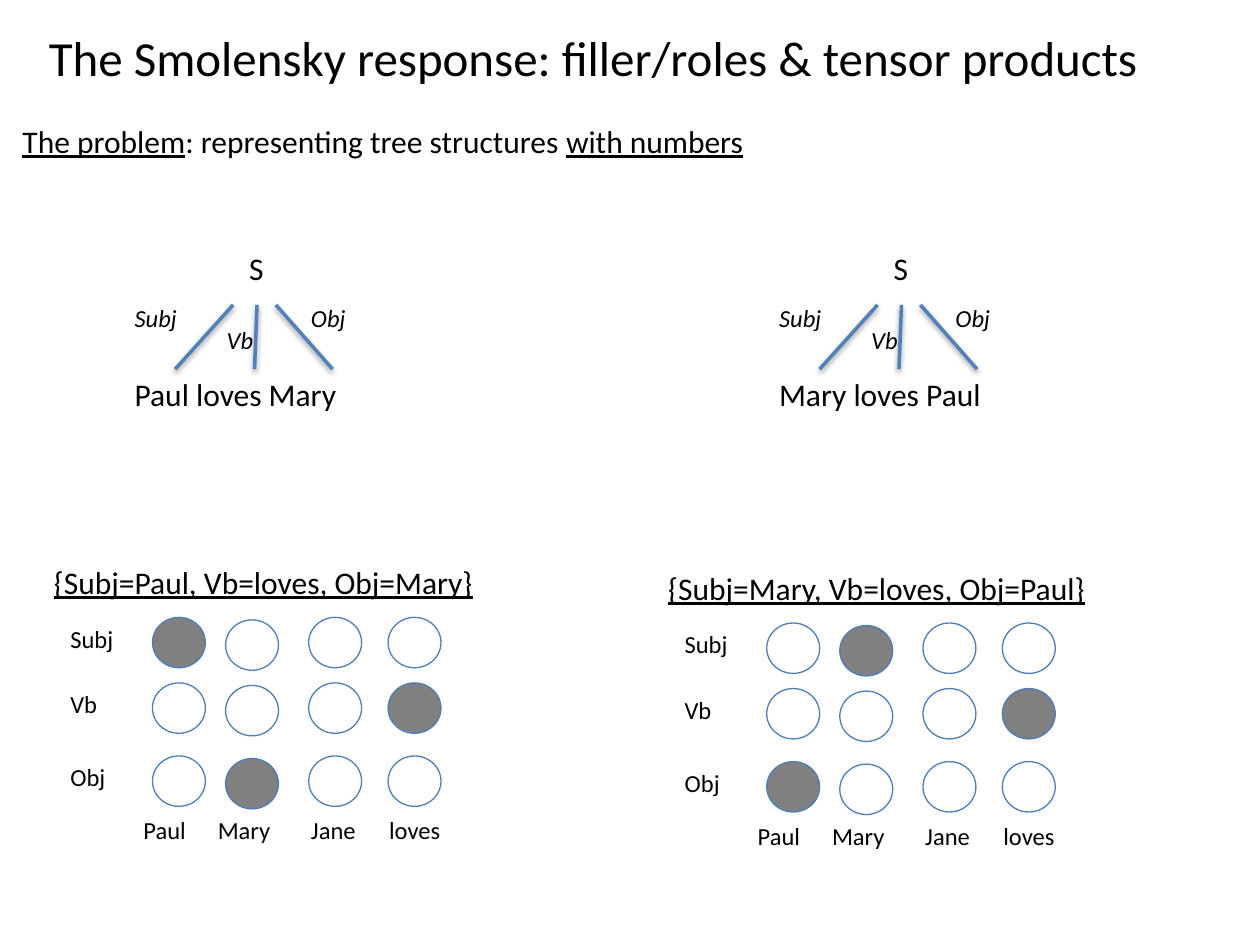
from pptx import Presentation
from pptx.dml.color import RGBColor
from pptx.enum.shapes import MSO_CONNECTOR, MSO_SHAPE
from pptx.enum.text import MSO_AUTO_SIZE
from pptx.util import Inches, Pt

OVAL = MSO_SHAPE.OVAL
STRAIGHT = MSO_CONNECTOR.STRAIGHT
GROW = MSO_AUTO_SIZE.SHAPE_TO_FIT_TEXT
COLUMNS, ROWS = 100, 75
COLORS = {"text": "000000", "branch": "4F81BD", "outline": "4B7EBC", "active": "808080"}

# Names and widths of the fillers and roles, with their places on the grid
FILLERS = {  # label column, label width, circle column, circle drop
    "Paul": (10.4, 5.9, 12.1, 0),
    "Mary": (16.3, 6.5, 17.9, 0.2),
    "Jane": (23.7, 6.3, 24.5, 0),
    "loves": (29.9, 6.6, 30.8, 0),
}
ROLES = {"Subj": (49, 5.9), "Vb": (54.2, 4.6), "Obj": (60, 5.1)}  # row, label width
BRANCHES = [(18.5, 13.9), (20.4, 20.2), (21.9, 26.4)]  # top and bottom columns
BRANCH_LABELS = [("Subj", 9.7, 23.6, 6.4), ("Vb", 17, 25.3, 4.9), ("Obj", 23.7, 23.6, 5.6)]


def color(name):
    return RGBColor.from_string(COLORS[name])


def add_run(paragraph, text, size=18, italic=False, underline=False):
    run = paragraph.add_run()
    run.text = text
    font = run.font
    font.name, font.size = "Calibri", Pt(size)
    font.italic, font.underline = italic, underline
    font.color.rgb = color("text")


class SlideBuilder:
    def __init__(self, presentation):
        self.slide = presentation.slides.add_slide(presentation.slide_layouts[6])
        self.column = presentation.slide_width / COLUMNS
        self.row = presentation.slide_height / ROWS

    def place(self, *lengths):
        """Turn alternating columns and rows into slide lengths."""
        units = (self.column, self.row) * 2
        return [round(length * unit) for length, unit in zip(lengths, units)]

    def text(self, left, top, width, height, *parts, wrap=False, grow=True, **style):
        """Each part is a string, or a pair of a string and its own format."""
        box = self.slide.shapes.add_textbox(*self.place(left, top, width, height))
        frame = box.text_frame
        frame.word_wrap = wrap
        if grow:
            frame.auto_size = GROW
        for part in parts:
            words, extra = (part, {}) if isinstance(part, str) else part
            add_run(frame.paragraphs[0], words, **{**style, **extra})
        return box

    def circle(self, left, top, active):
        shape = self.slide.shapes.add_shape(OVAL, *self.place(left, top, 4.2, 4))
        shape.shadow.inherit = False
        if active:
            shape.fill.solid()
            shape.fill.fore_color.rgb = color("active")
        else:
            shape.fill.background()
        shape.line.color.rgb = color("outline")
        shape.line.width = Pt(0.75)

    def branch(self, top_column, bottom_column):
        # The theme's soft shadow is kept on the branches
        ends = self.place(top_column, 24.2, bottom_column, 29.3)
        line = self.slide.shapes.add_connector(STRAIGHT, *ends)
        line.line.color.rgb = color("branch")
        line.line.width = Pt(2)

    def tree(self, sentence, shift):
        self.text(9.7 + shift, 29.3, 20, 4, sentence, wrap=True)
        self.text(18.8 + shift, 19.3, 3.7, 4, "S")
        for top_column, bottom_column in BRANCHES:
            self.branch(top_column + shift, bottom_column + shift)
        for label, left, top, width in BRANCH_LABELS:
            self.text(left + shift, top, width, 3.4, label, size=14, italic=True)

    def binding_matrix(self, bindings, shift, drop):
        heading = ", ".join(f"{role}={filler}" for role, filler in bindings.items())
        self.text(3.3 + shift, 44.2 + drop, 39.5, 4, "{" + heading + "}", underline=True)
        for role, (top, width) in ROLES.items():
            self.text(4.6 + shift, top + drop, width, 3.4, role, size=14)
            for filler, (_, _, left, lower) in FILLERS.items():
                self.circle(left + shift, top + lower + drop, bindings[role] == filler)
        for filler, (left, width, _, _) in FILLERS.items():
            self.text(left + shift, 64.2 + drop, width, 3.4, filler, size=14)


def main():
    presentation = Presentation()
    presentation.slide_width, presentation.slide_height = Inches(10), Inches(7.5)
    builder = SlideBuilder(presentation)

    # Title with a hanging indent, and the problem statement
    title = builder.text(0, 1.7, 100, 11.7,
                         "The Smolensky response: filler/roles & tensor products",
                         wrap=True, grow=False, size=28)
    properties = title.text_frame.paragraphs[0]._p.get_or_add_pPr()
    properties.set("marL", str(Inches(0.81)))
    properties.set("indent", str(Inches(-0.52)))
    builder.text(0.8, 9.2, 64.2, 4, ("The problem", {"underline": True}),
                 ": representing tree structures ", ("with numbers", {"underline": True}))

    # Sentence trees
    builder.tree("Paul loves Mary", 0)
    builder.tree("Mary loves Paul", 51.15)

    # Role and filler matrices
    builder.binding_matrix({"Subj": "Paul", "Vb": "loves", "Obj": "Mary"}, 0, 0)
    builder.binding_matrix({"Subj": "Mary", "Vb": "loves", "Obj": "Paul"}, 48.75, 0.45)

    presentation.save("out.pptx")


if __name__ == "__main__":
    main()
